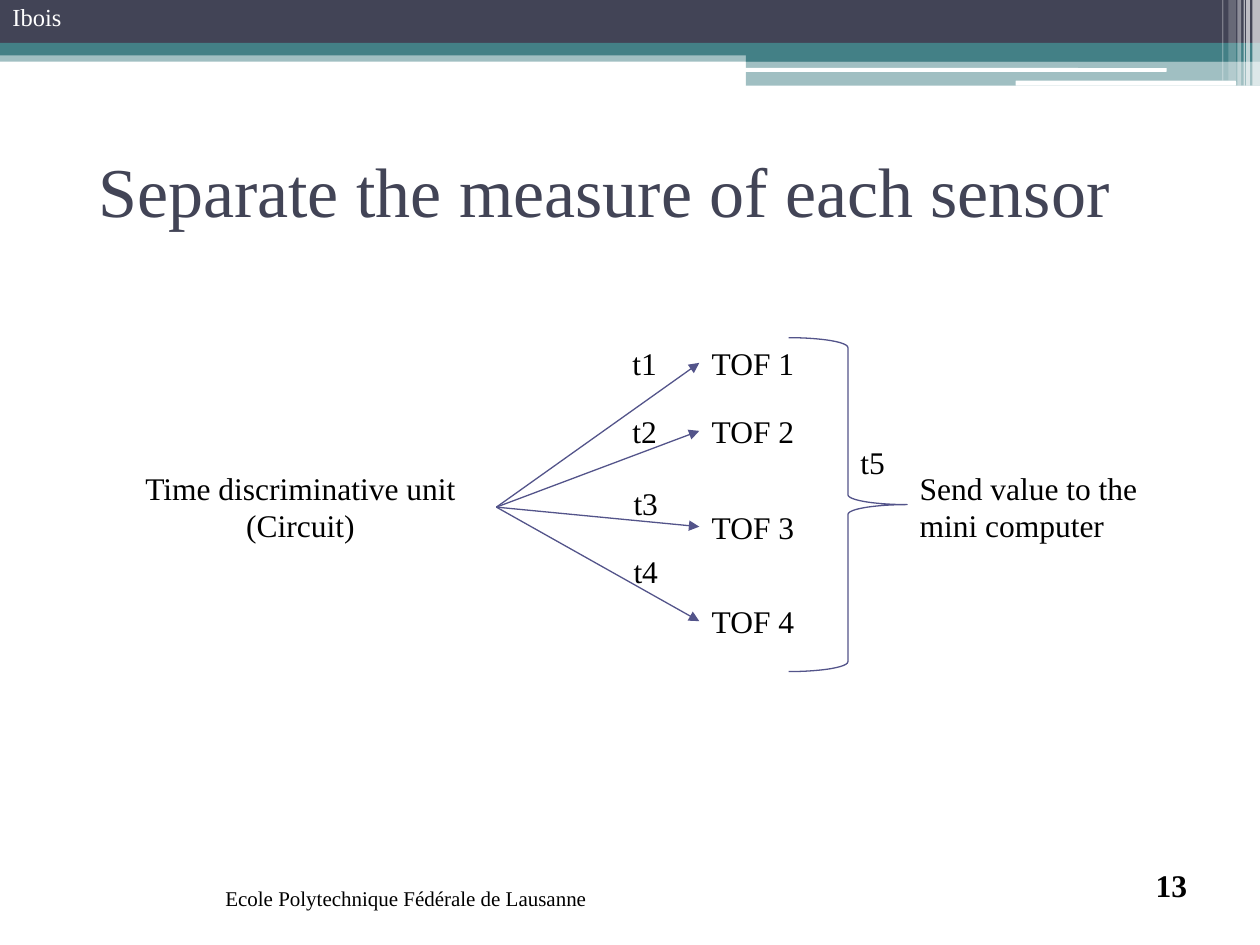
from lxml.etree import SubElement
from pptx import Presentation
from pptx.dml.color import RGBColor
from pptx.enum.shapes import MSO_CONNECTOR as Connector, MSO_SHAPE as Shape
from pptx.enum.text import MSO_ANCHOR as Anchor, MSO_AUTO_SIZE as AutoSize, PP_ALIGN as Align
from pptx.oxml.ns import qn
from pptx.util import Inches, Pt

COLORS = {"ink": "000000", "navy": "424456", "teal": "438086",
          "line": "53548A", "white": "FFFFFF"}

BANDS = [
    (0, 0.4, 10, 0.09, "teal", 50),
    (0, 0, 10, 0.34, "navy", 100),
    (0, 0.34, 10, 0.1, "teal", 100),
    (5.92, 0.39, 4.08, 0.1, "teal", 100),
    (5.92, 0.48, 4.08, 0.2, "teal", 50),
]
GROOVES = [(5.91, 0.54, 3.35, 0.03), (8.06, 0.64, 1.75, 0.04)]
STRIPES = [
    (9.94, 0.06, 0.68, 65), (9.89, 0.03, 0.68, 65), (9.87, 0.01, 0.68, 60),
    (9.82, 0.03, 0.68, 40), (9.75, 0.06, 0.64, 20), (9.7, 0.01, 0.64, 30),
]
SENSOR_TOPS = [2.68, 3.22, 3.98, 4.73]
DELAYS = [("t1", 4.92, 2.68), ("t2", 4.92, 3.22), ("t3", 4.93, 3.79),
          ("t4", 4.93, 4.33), ("t5", 6.73, 3.47)]


class SlideBuilder:
    """Holds the style and the current slide, and draws each kind of element."""

    font_name = "Times New Roman"
    line_width = Pt(0.75)

    def __init__(self, slide):
        self.slide = slide

    def color(self, name):
        return RGBColor.from_string(COLORS[name])

    def set_text(self, frame, text, size, color="ink", align=Align.LEFT, bold=False):
        paragraph = frame.paragraphs[0]
        paragraph.text = text
        paragraph.alignment = align
        style = {"name": self.font_name, "size": Pt(size), "bold": bold}
        for run in paragraph.runs:
            for attribute, value in style.items():
                setattr(run.font, attribute, value)
            run.font.color.rgb = self.color(color)

    def title(self, text, left, top, width, height):
        heading = self.slide.shapes.title
        place = {"left": left, "top": top, "width": width, "height": height}
        for attribute, value in place.items():
            setattr(heading, attribute, Inches(value))
        heading.text_frame.vertical_anchor = Anchor.MIDDLE
        self.set_text(heading.text_frame, text, 40, "navy")

    def label(self, text, left, top, width, height=0.4, size=18, wrap=True,
              anchor=Anchor.TOP, grow=True, **style):
        box = self.slide.shapes.add_textbox(*map(Inches, (left, top, width, height)))
        layout = {"word_wrap": wrap, "vertical_anchor": anchor,
                  "auto_size": AutoSize.SHAPE_TO_FIT_TEXT if grow else AutoSize.NONE}
        for attribute, value in layout.items():
            setattr(box.text_frame, attribute, value)
        self.set_text(box.text_frame, text, size, **style)
        return box

    def band(self, left, top, width, height, color, opacity=100, kind=Shape.RECTANGLE):
        bar = self.slide.shapes.add_shape(kind, *map(Inches, (left, top, width, height)))
        bar.shadow.inherit = False
        bar.line.fill.background()
        bar.fill.solid()
        bar.fill.fore_color.rgb = self.color(color)
        if opacity < 100:
            tint = bar._element.spPr.find(qn("a:solidFill"))[0]
            SubElement(tint, qn("a:alpha"), val=str(opacity * 1000))

    def outline(self, line):
        line.color.rgb = self.color("line")
        line.width = self.line_width

    def brace(self, left, top, width, height):
        bracket = self.slide.shapes.add_shape(
            Shape.RIGHT_BRACE, *map(Inches, (left, top, width, height)))
        bracket.shadow.inherit = False
        bracket.fill.background()
        self.outline(bracket.line)

    def arrow(self, source, target):
        link = self.slide.shapes.add_connector(Connector.STRAIGHT, 0, 0, 0, 0)
        link.begin_connect(source, 3)
        link.end_connect(target, 1)
        self.outline(link.line)
        properties = link._element.spPr
        SubElement(properties.find(qn("a:ln")), qn("a:tailEnd"), type="triangle")
        SubElement(properties, qn("a:effectLst"))


def main():
    deck = Presentation()
    deck.slide_width, deck.slide_height = Inches(10), Inches(7.5)
    page = SlideBuilder(deck.slides.add_slide(deck.slide_layouts[5]))

    for band in BANDS:
        page.band(*band)
    for groove in GROOVES:
        page.band(*groove, "white", kind=Shape.ROUNDED_RECTANGLE)
    for left, width, height, opacity in STRIPES:
        page.band(left, 0, width, height, "white", opacity)

    page.title("Separate the measure of each sensor", 0.68, 0.92, 8.43, 1.17)
    page.label("Ibois", 0, -0.03, 0.59, 0.34, size=14, wrap=False, color="white")
    page.label("Ecole Polytechnique Fédérale de Lausanne", 1.69, 6.98, 3.11, 0.3,
               size=12, wrap=False)
    page.label("13", 8.7, 6.82, 0.82, anchor=Anchor.BOTTOM, grow=False,
               align=Align.RIGHT, bold=True)

    unit = page.label("Time discriminative unit\n(Circuit)", 0.83, 3.67, 3.11, 0.71,
                      align=Align.CENTER)
    for number, top in enumerate(SENSOR_TOPS, 1):
        sensor = page.label(f"TOF {number}", 5.55, top, 1.42)
        page.arrow(unit, sensor)
    page.label("Send value to the mini computer", 7.2, 3.67, 2.31, 0.71)
    page.brace(6.26, 2.68, 0.94, 2.65)
    for delay, left, top in DELAYS:
        page.label(delay, left, top, 0.43)

    deck.save("out.pptx")


if __name__ == "__main__":
    main()
